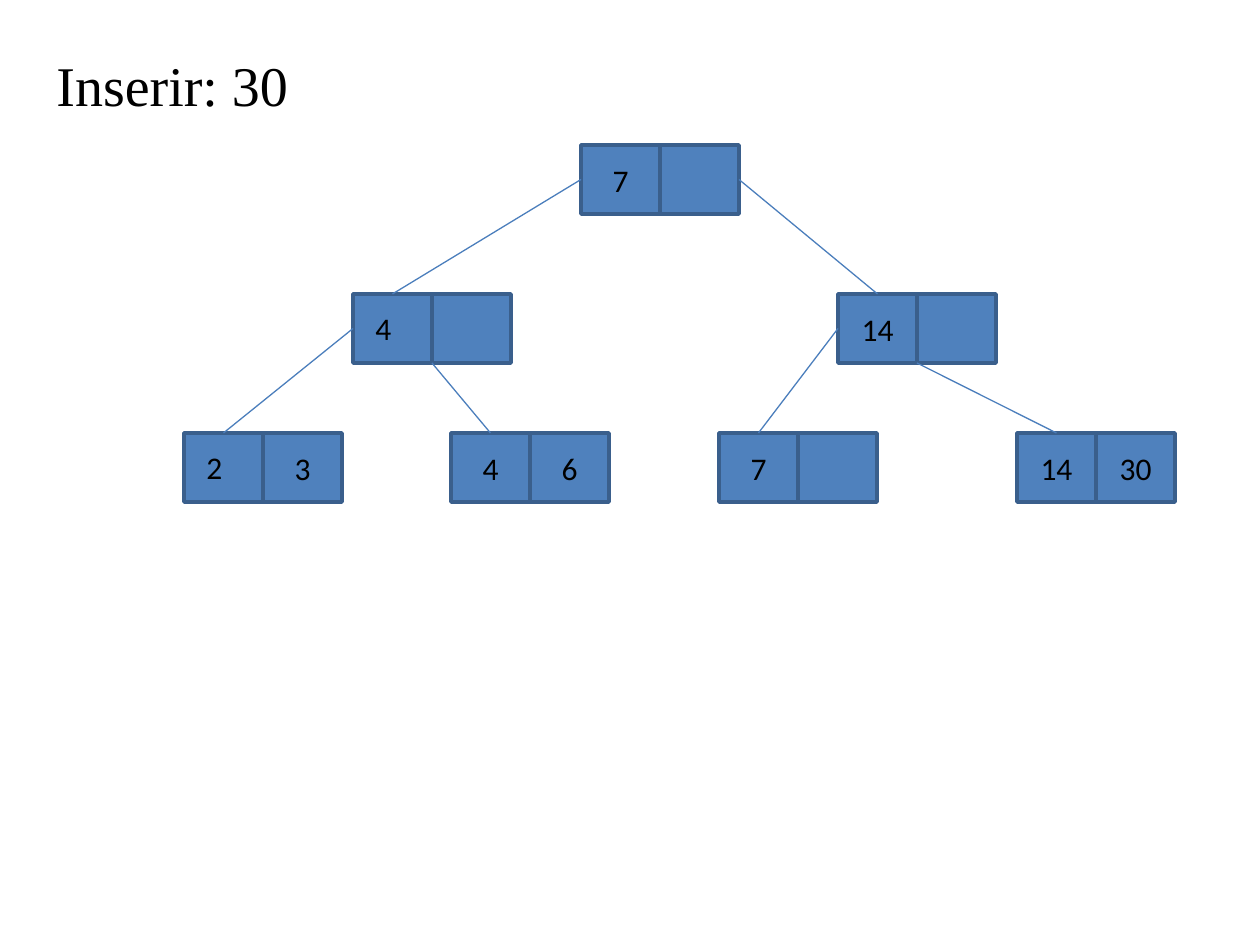
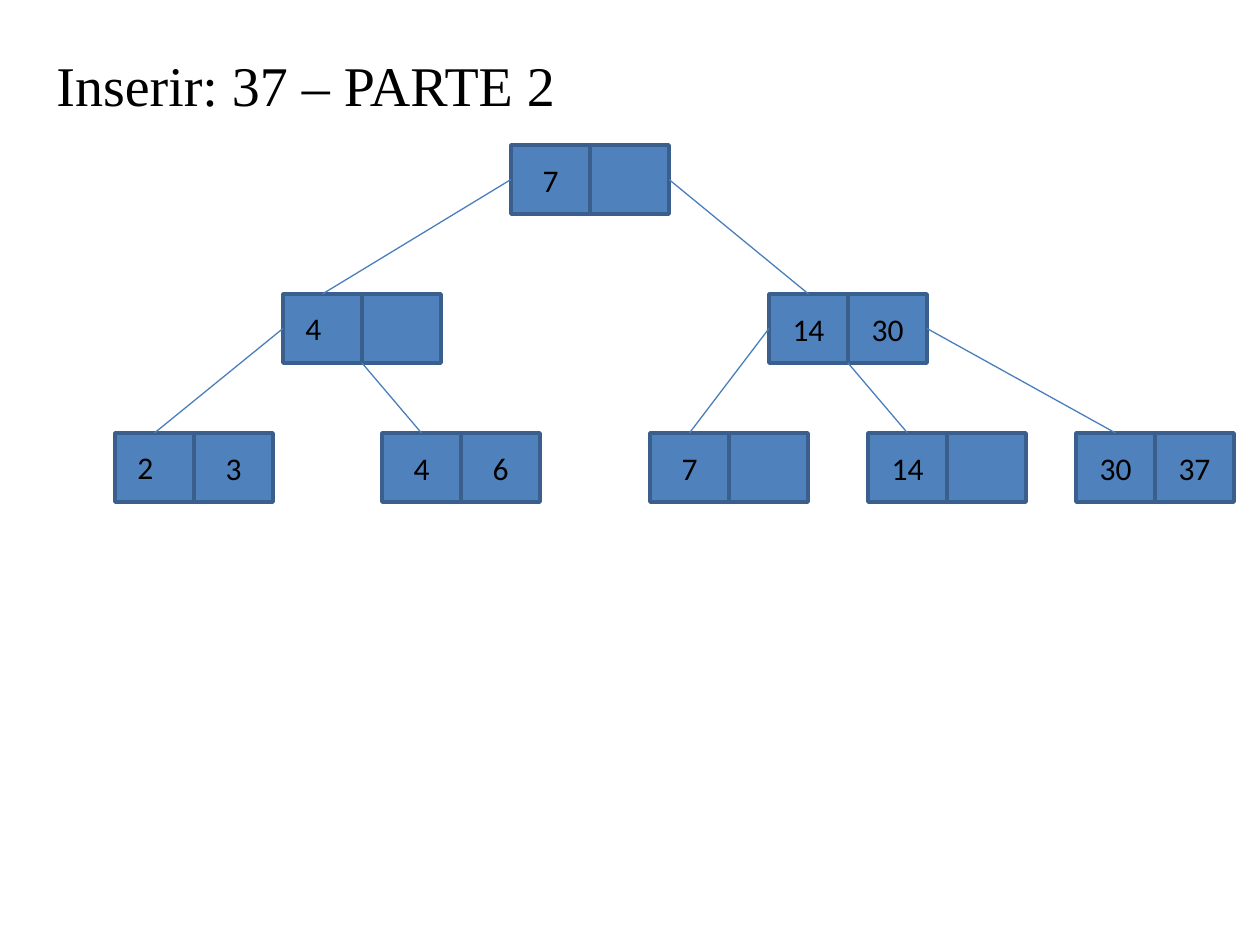
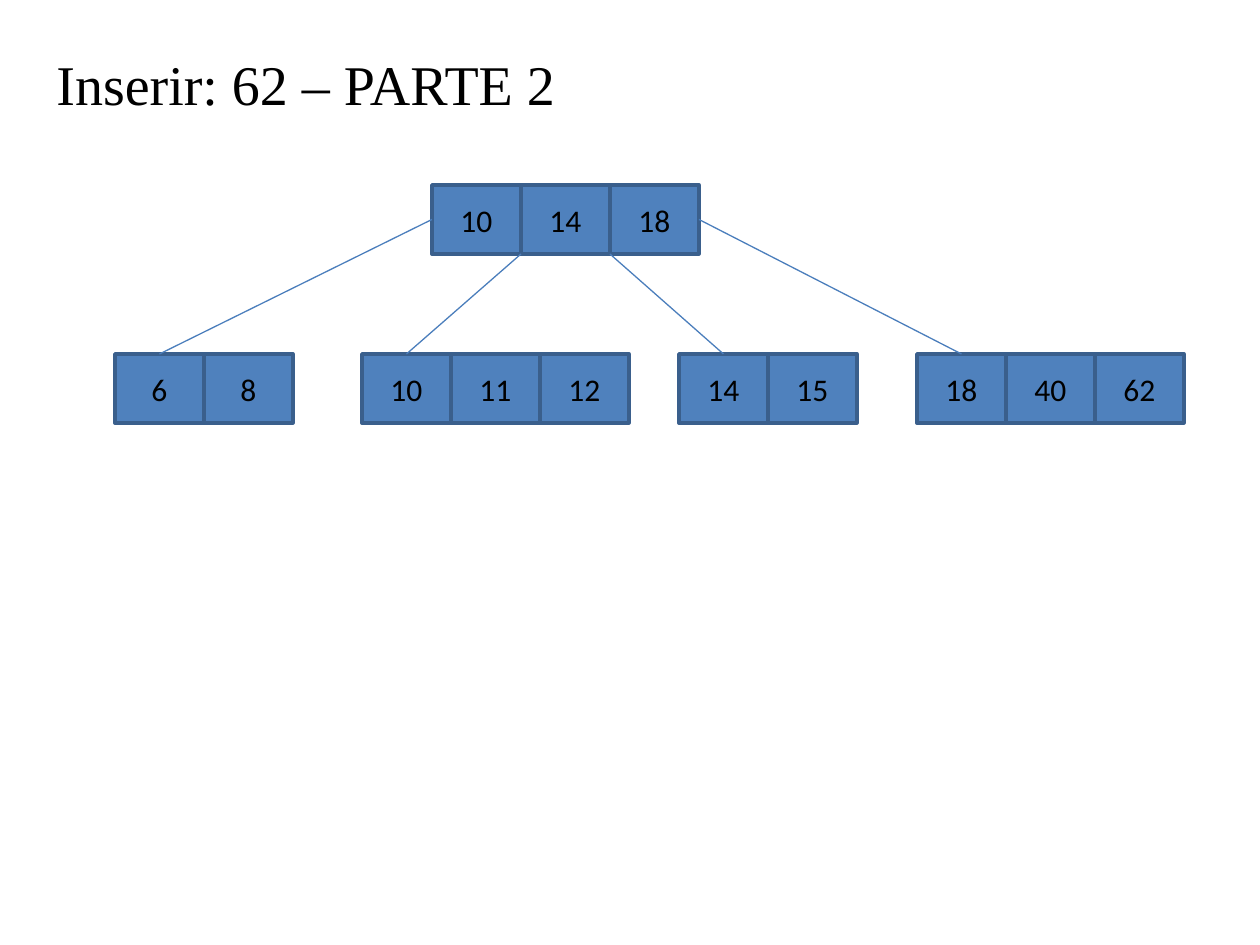
"""Build three slides that show keys being inserted into B+ trees."""
from pptx import Presentation
from pptx.dml.color import RGBColor
from pptx.enum.shapes import MSO_CONNECTOR as CONN, MSO_SHAPE as SHAPE
from pptx.enum.text import MSO_ANCHOR as ANCHOR, PP_ALIGN as ALIGN
from pptx.oxml.ns import qn
from pptx.util import Pt
from lxml.etree import SubElement

FILL, BORDER, EDGE, INK = "4F81BD", "3A5F8C", "4B7EBC", "000000"
CELL_H = 69


def px(n):
    return round(n * 914400 / 126)


def rgb(h):
    return RGBColor.from_string(h)


slides = [
    {
        "title": ("Inserir: 30", 567, 118),
        "cell_w": 79,
        "nodes": {
            "root": (581, 145, ["7", ""]),
            "left": (353, 294, ["4", ""]),
            "right": (838, 294, ["14", ""]),
            "leaf1": (184, 433, ["2", "3"]),
            "leaf2": (451, 433, ["4", "6"]),
            "leaf3": (719, 433, ["7", ""]),
            "leaf4": (1017, 433, ["14", "30"]),
        },
        "boxed": ["left", "leaf1"],
        "edges": [("root", 0, "left"), ("root", 2, "right"),
                  ("left", 0, "leaf1"), ("left", 1, "leaf2"),
                  ("right", 0, "leaf3"), ("right", 1, "leaf4")],
    },
    {
        "title": ("Inserir: 37 – PARTE 2", 567, 118),
        "cell_w": 79,
        "nodes": {
            "root": (511, 145, ["7", ""]),
            "left": (283, 294, ["4", ""]),
            "right": (769, 294, ["14", "30"]),
            "leaf1": (115, 433, ["2", "3"]),
            "leaf2": (382, 433, ["4", "6"]),
            "leaf3": (650, 433, ["7", ""]),
            "leaf4": (868, 433, ["14", ""]),
            "leaf5": (1076, 433, ["30", "37"]),
        },
        "boxed": ["left", "leaf1"],
        "edges": [("root", 0, "left"), ("root", 2, "right"),
                  ("left", 0, "leaf1"), ("left", 1, "leaf2"),
                  ("right", 0, "leaf3"), ("right", 1, "leaf4"),
                  ("right", 2, "leaf5")],
    },
    {
        "title": ("Inserir: 62 – PARTE 2", 665, 129),
        "cell_w": 89,
        "nodes": {
            "root": (432, 185, ["10", "14", "18"]),
            "leaf1": (115, 354, ["6", "8"]),
            "leaf2": (362, 354, ["10", "11", "12"]),
            "leaf3": (679, 354, ["14", "15"]),
            "leaf4": (917, 354, ["18", "40", "62"]),
        },
        "boxed": [],
        "edges": [("root", i, f"leaf{i + 1}") for i in range(4)],
    },
]

prs = Presentation()
prs.slide_width, prs.slide_height = px(1260), px(945)

for data in slides:
    s = prs.slides.add_slide(prs.slide_layouts[6])
    title, title_w, title_h = data["title"]
    tf = s.shapes.add_textbox(px(44), px(37), px(title_w), px(title_h)).text_frame
    tf.word_wrap = True
    tf.margin_top = px(13)
    tf.text = title
    p = tf.paragraphs[0]
    p.alignment = ALIGN.JUSTIFY
    p.font.size, p.font.name = Pt(32), "Times New Roman"
    p.font.color.rgb = rgb(INK)

    cell_w = data["cell_w"]
    cells = {}
    for name, (x, y, keys) in data["nodes"].items():
        cells[name] = []
        for i, key in enumerate(keys):
            left = x + i * cell_w
            sp = s.shapes.add_shape(SHAPE.RECTANGLE, px(left), px(y), px(cell_w), px(CELL_H))
            sp.shadow.inherit = False
            sp.fill.solid()
            sp.fill.fore_color.rgb = rgb(FILL)
            sp.line.color.rgb = rgb(BORDER)
            sp.line.width = Pt(2)
            cells[name].append(sp)
            if not key:
                continue
            boxed = i == 0 and name in data["boxed"]
            if boxed:
                sp = s.shapes.add_textbox(px(left + 10), px(y + 9), px(59), px(50))
            tf = sp.text_frame
            tf.word_wrap = True
            tf.vertical_anchor = ANCHOR.TOP if boxed else ANCHOR.MIDDLE
            tf.text = key
            p = tf.paragraphs[0]
            p.alignment = ALIGN.LEFT if boxed else ALIGN.CENTER
            p.font.size, p.font.name = Pt(18), "Calibri"
            p.font.color.rgb = rgb(INK)

    for parent, slot, child in data["edges"]:
        x, y, keys = data["nodes"][parent]
        child_x, child_y, _ = data["nodes"][child]
        outer = slot in (0, len(keys))
        start_y = y + (CELL_H / 2 if outer else CELL_H)
        line = s.shapes.add_connector(CONN.STRAIGHT, px(x + slot * cell_w), px(start_y),
                                      px(child_x + cell_w / 2), px(child_y))
        if slot == 0:
            line.begin_connect(cells[parent][0], 1)
        elif outer:
            line.begin_connect(cells[parent][-1], 3)
        line.end_connect(cells[child][0], 0)
        line.line.color.rgb = rgb(EDGE)
        line.line.width = Pt(0.75)
        SubElement(line._element.spPr, qn("a:effectLst"))

prs.save("out.pptx")
